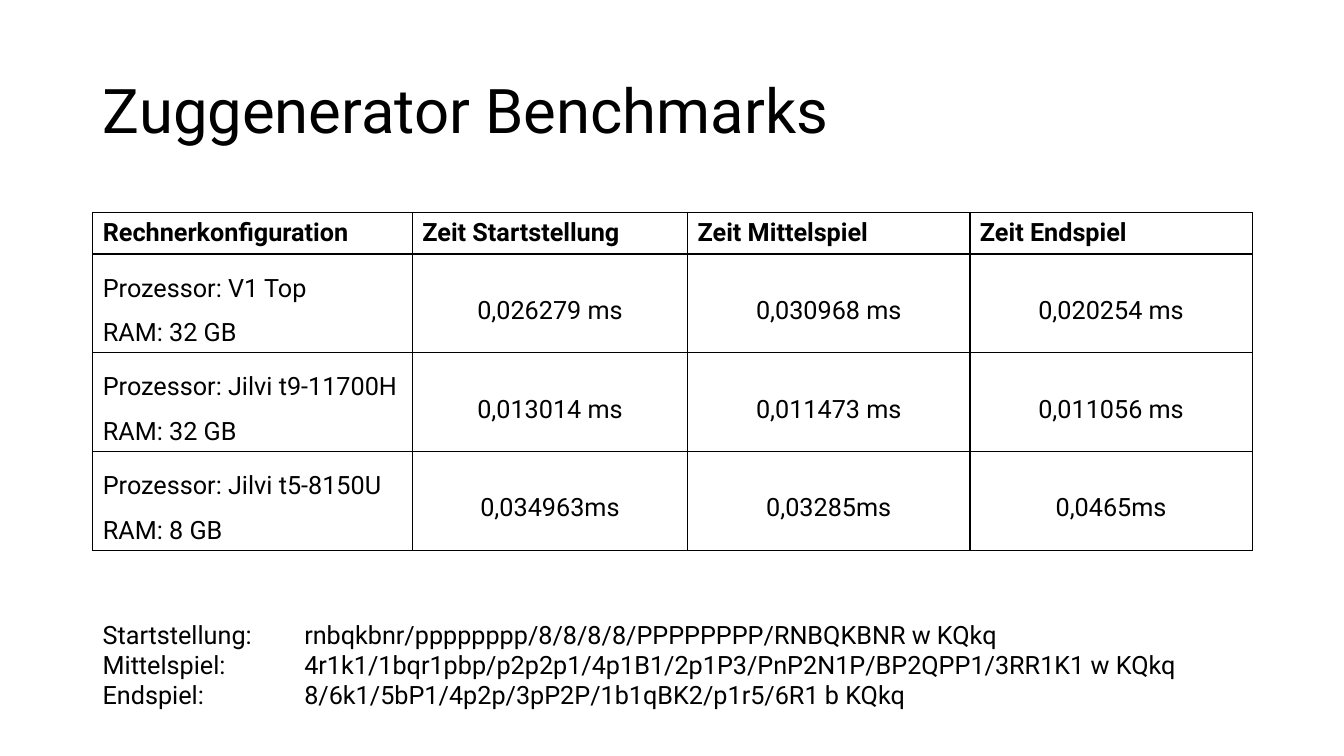
from dataclasses import dataclass

from lxml.etree import SubElement
from pptx import Presentation
from pptx.dml.color import RGBColor
from pptx.enum.text import MSO_ANCHOR as ANCHOR, MSO_AUTO_SIZE as AUTO_SIZE, PP_ALIGN as ALIGN
from pptx.oxml.ns import qn
from pptx.util import Inches, Pt


@dataclass(frozen=True)
class Theme:
    font: str = "Roboto"
    ink: RGBColor = RGBColor(0, 0, 0)
    paper: RGBColor = RGBColor(255, 255, 255)
    title_size: int = 44
    body_size: int = 18
    border: int = 1


THEME = Theme()
LEFT, WIDTH = Inches(0.92), Inches(11.5)
COLUMN_WIDTHS = (3.17, 2.73, 2.8, 2.8)
HEADER_HEIGHT, ROW_HEIGHT = 0.41, 0.98

HEADERS = ("Rechnerkonfiguration", "Zeit Startstellung", "Zeit Mittelspiel", "Zeit Endspiel")
BENCHMARKS = (
    ("V1 Top", "32 GB", "0,026279 ms", "0,030968 ms", "0,020254 ms"),
    ("Jilvi t9-11700H", "32 GB", "0,013014 ms", "0,011473 ms", "0,011056 ms"),
    ("Jilvi t5-8150U", "8 GB", "0,034963ms", "0,03285ms", "0,0465ms"),
)
POSITIONS = (
    ("Startstellung:", "rnbqkbnr/pppppppp/8/8/8/8/PPPPPPPP/RNBQKBNR w KQkq"),
    ("Mittelspiel:", "4r1k1/1bqr1pbp/p2p2p1/4p1B1/2p1P3/PnP2N1P/BP2QPP1/3RR1K1 w KQkq"),
    ("Endspiel:", "8/6k1/5bP1/4p2p/3pP2P/1b1qBK2/p1r5/6R1 b KQkq"),
)


def write(tf, *lines, size=THEME.body_size, bold=False, align=ALIGN.LEFT,
          spacing=1.0, anchor=ANCHOR.TOP, tab=None):
    """Fill a text frame with one paragraph per line."""
    tf.word_wrap = True
    tf.vertical_anchor = anchor
    for i, line in enumerate(lines):
        p = tf.add_paragraph() if i else tf.paragraphs[0]
        p.alignment, p.line_spacing = align, spacing
        if tab is not None:
            stops = SubElement(p._p.get_or_add_pPr(), qn("a:tabLst"))
            SubElement(stops, qn("a:tab"), pos=str(tab), algn="l")
        r = p.add_run()
        r.text = line
        r.font.name, r.font.size, r.font.bold = THEME.font, Pt(size), bold
        r.font.color.rgb = THEME.ink


def write_cell(cell, *lines, anchor=ANCHOR.TOP, **style):
    write(cell.text_frame, *lines, **style)
    cell.vertical_anchor = anchor
    tc_pr = cell._tc.get_or_add_tcPr()
    for side in ("lnL", "lnR", "lnT", "lnB"):
        line = SubElement(tc_pr, qn(f"a:{side}"), w=str(Pt(THEME.border)))
        fill = SubElement(line, qn("a:solidFill"))
        SubElement(fill, qn("a:srgbClr"), val=str(THEME.ink))
    cell.fill.solid()
    cell.fill.fore_color.rgb = THEME.paper


def add_title(slide, text):
    sp = slide.shapes.title
    sp.left, sp.top, sp.width, sp.height = LEFT, Inches(0.4), WIDTH, Inches(1.45)
    sp.text_frame.auto_size = AUTO_SIZE.NONE
    write(sp.text_frame, text, size=THEME.title_size, spacing=0.9, anchor=ANCHOR.MIDDLE)


def add_benchmark_table(slide):
    heights = [HEADER_HEIGHT] + [ROW_HEIGHT] * len(BENCHMARKS)
    table = slide.shapes.add_table(len(heights), len(HEADERS), LEFT, Inches(2.11),
                                   WIDTH, Inches(sum(heights))).table
    for column, width in zip(table.columns, COLUMN_WIDTHS):
        column.width = Inches(width)
    for row, height in zip(table.rows, heights):
        row.height = Inches(height)
    for col, header in enumerate(HEADERS):
        write_cell(table.cell(0, col), header, bold=True)
    for row, (processor, ram, *times) in enumerate(BENCHMARKS, 1):
        write_cell(table.cell(row, 0), f"Prozessor: {processor}", f"RAM: {ram}", spacing=1.5)
        for col, time in enumerate(times, 1):
            write_cell(table.cell(row, col), time, align=ALIGN.CENTER,
                       spacing=1.5, anchor=ANCHOR.MIDDLE)


def add_positions(slide):
    """List the chess positions, with the board notation at a tab stop."""
    sp = slide.shapes.add_textbox(LEFT, Inches(6.09), WIDTH, Inches(1.01))
    write(sp.text_frame, *("\t".join(pair) for pair in POSITIONS), tab=Inches(2))


def main():
    prs = Presentation()
    prs.slide_width, prs.slide_height = Inches(13.33), Inches(7.5)
    slide = prs.slides.add_slide(prs.slide_layouts.get_by_name("Title Only"))
    add_title(slide, "Zuggenerator Benchmarks")
    add_benchmark_table(slide)
    add_positions(slide)
    prs.save("out.pptx")


if __name__ == "__main__":
    main()
